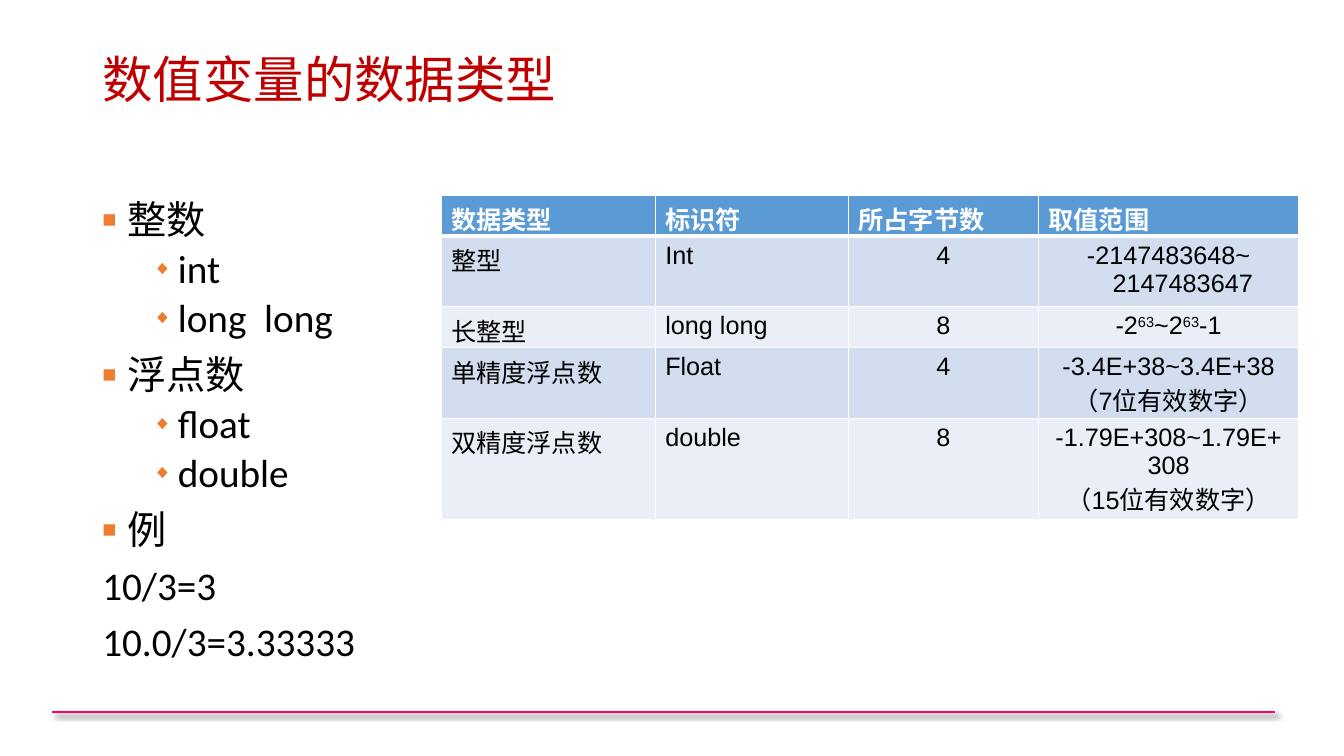
"""Build the slide on data types of numeric variables."""
import pptx
import pptx.dml.color
import pptx.enum.shapes
import pptx.enum.text
import pptx.util
from lxml import etree
from pptx.oxml.ns import qn

PX = 9525
COLORS = {
    "title": "C00000", "text": "000000", "bullet": "ED7D31", "rule": "FF0066",
    "header": "5B9BD5", "odd": "D2DEEF", "even": "EAEFF7", "white": "FFFFFF",
}
CJK_FONT = "Noto Sans CJK SC"

TITLE = "数值变量的数据类型"
OUTLINE = [
    ("整数", "topic"), ("int", "type"), ("long  long", "type"),
    ("浮点数", "topic"), ("float", "type"), ("double", "type"),
    ("例", "topic"), ("10/3=3", "plain"), ("10.0/3=3.33333", "plain"),
]
OUTLINE_STYLES = {
    "topic": {"level": 0, "left": 24, "before": 10, "bullet": ("■", 60)},
    "type": {"level": 1, "left": 72, "before": 5, "bullet": ("◆", 50)},
    "plain": {"level": 0, "left": 0, "before": 10, "bullet": None},
}
HANGING = 24

TABLE = [
    ["数据类型", "标识符", "所占字节数", "取值范围"],
    ["整型", "Int", "4", "-2147483648~\n2147483647"],
    ["长整型", "long long", "8", "-2^63^~2^63^-1"],
    ["单精度浮点数", "Float", "4", "-3.4E+38~3.4E+38\n（7位有效数字）"],
    ["双精度浮点数", "double", "8", "-1.79E+308~1.79E+308\n（15位有效数字）"],
]
COLUMN_WIDTHS = [204, 184, 181, 248]
ROW_HEIGHT = 39
INDENTED_LINE = "2147483647"
LINE_INDENT = 27


def px(*lengths):
    return [length * PX for length in lengths]


def rgb(name):
    return pptx.dml.color.RGBColor.from_string(COLORS[name])


def add_element(parent, tag, **attributes):
    element = etree.SubElement(parent, qn(tag))
    for name, value in attributes.items():
        element.set(name, str(value))
    return element


def add_color(parent, name):
    return add_element(parent, "a:srgbClr", val=COLORS[name])


def set_font(paragraph, name, size, color, bold=False):
    font = paragraph.font
    font.name = name
    font.size = pptx.util.Pt(size)
    font.bold = bold
    font.color.rgb = rgb(color)
    defaults = paragraph._p.get_or_add_pPr().find(qn("a:defRPr"))
    add_element(defaults, "a:ea", typeface=CJK_FONT)


def add_rule(slide):
    rule = slide.shapes.add_connector(
        pptx.enum.shapes.MSO_CONNECTOR.STRAIGHT, *px(50, 678, 1214, 678))
    rule.line.color.rgb = rgb("rule")
    rule.line.width = pptx.util.Pt(1.5)
    effects = add_element(rule._element.spPr, "a:effectLst")
    shadow = add_element(effects, "a:outerShdw", blurRad=pptx.util.Pt(4),
                         dist=pptx.util.Pt(3), dir=45 * 60000, algn="tl")
    add_element(add_color(shadow, "text"), "a:alpha", val=40000)


def add_title(slide):
    title = slide.shapes.title
    title.left, title.top, title.width, title.height = px(88, 38, 1104, 80)
    frame = title.text_frame
    frame.text = TITLE
    frame.vertical_anchor = pptx.enum.text.MSO_ANCHOR.MIDDLE
    paragraph = frame.paragraphs[0]
    paragraph.alignment = pptx.enum.text.PP_ALIGN.LEFT
    paragraph.line_spacing = 0.9
    set_font(paragraph, CJK_FONT, 36, "title")


def add_outline(slide):
    frame = slide.shapes.add_textbox(*px(88, 186, 340, 463)).text_frame
    frame.word_wrap = True
    frame.text = "\n".join(text for text, _ in OUTLINE)
    for index, (paragraph, (_, kind)) in enumerate(zip(frame.paragraphs, OUTLINE)):
        style = OUTLINE_STYLES[kind]
        paragraph.level = style["level"]
        paragraph.line_spacing = 0.9
        paragraph.space_before = pptx.util.Pt(style["before"] if index else 0)
        if style["bullet"]:
            symbol, percent = style["bullet"]
            properties = paragraph._p.get_or_add_pPr()
            properties.set("marL", str(style["left"] * PX))
            properties.set("indent", str(-HANGING * PX))
            add_color(add_element(properties, "a:buClr"), "bullet")
            add_element(properties, "a:buSzPct", val=percent * 1000)
            add_element(properties, "a:buFont", typeface="Arial")
            add_element(properties, "a:buChar", char=symbol)
        set_font(paragraph, "Calibri", 28, "text")


def set_borders(cell, row):
    heavy = {0: "a:lnB", 1: "a:lnT"}.get(row)
    properties = cell._tc.get_or_add_tcPr()
    for side in ("a:lnL", "a:lnR", "a:lnT", "a:lnB"):
        width = pptx.util.Pt(3 if side == heavy else 1)
        line = add_element(properties, side, w=width)
        add_color(add_element(line, "a:solidFill"), "white")


def fill_cell(cell, text, row, column):
    set_borders(cell, row)
    cell.fill.solid()
    cell.fill.fore_color.rgb = rgb("header" if row == 0 else "odd" if row % 2 else "even")
    frame = cell.text_frame
    for index, line in enumerate(text.split("\n")):
        paragraph = frame.add_paragraph() if index else frame.paragraphs[0]
        for part, piece in enumerate(line.split("^")):
            run = paragraph.add_run()
            run.text = piece
            if part % 2:
                run._r.get_or_add_rPr().set("baseline", "30000")
        if row and column >= 2:
            paragraph.alignment = pptx.enum.text.PP_ALIGN.CENTER
        if line == INDENTED_LINE:
            paragraph._p.get_or_add_pPr().set("marL", str(LINE_INDENT * PX))
        set_font(paragraph, "Arial", 18, "text" if row else "white", bold=row == 0)


def add_type_table(slide):
    size = px(sum(COLUMN_WIDTHS), ROW_HEIGHT * len(TABLE))
    table = slide.shapes.add_table(
        len(TABLE), len(COLUMN_WIDTHS), *px(420, 186), *size).table
    for column, width in zip(table.columns, COLUMN_WIDTHS):
        column.width = width * PX
    for row, texts in enumerate(TABLE):
        for column, text in enumerate(texts):
            fill_cell(table.cell(row, column), text, row, column)


def main():
    presentation = pptx.Presentation()
    presentation.slide_width, presentation.slide_height = px(1280, 720)
    slide = presentation.slides.add_slide(presentation.slide_layouts[5])
    add_rule(slide)
    add_title(slide)
    add_outline(slide)
    add_type_table(slide)
    presentation.save("out.pptx")


if __name__ == "__main__":
    main()
